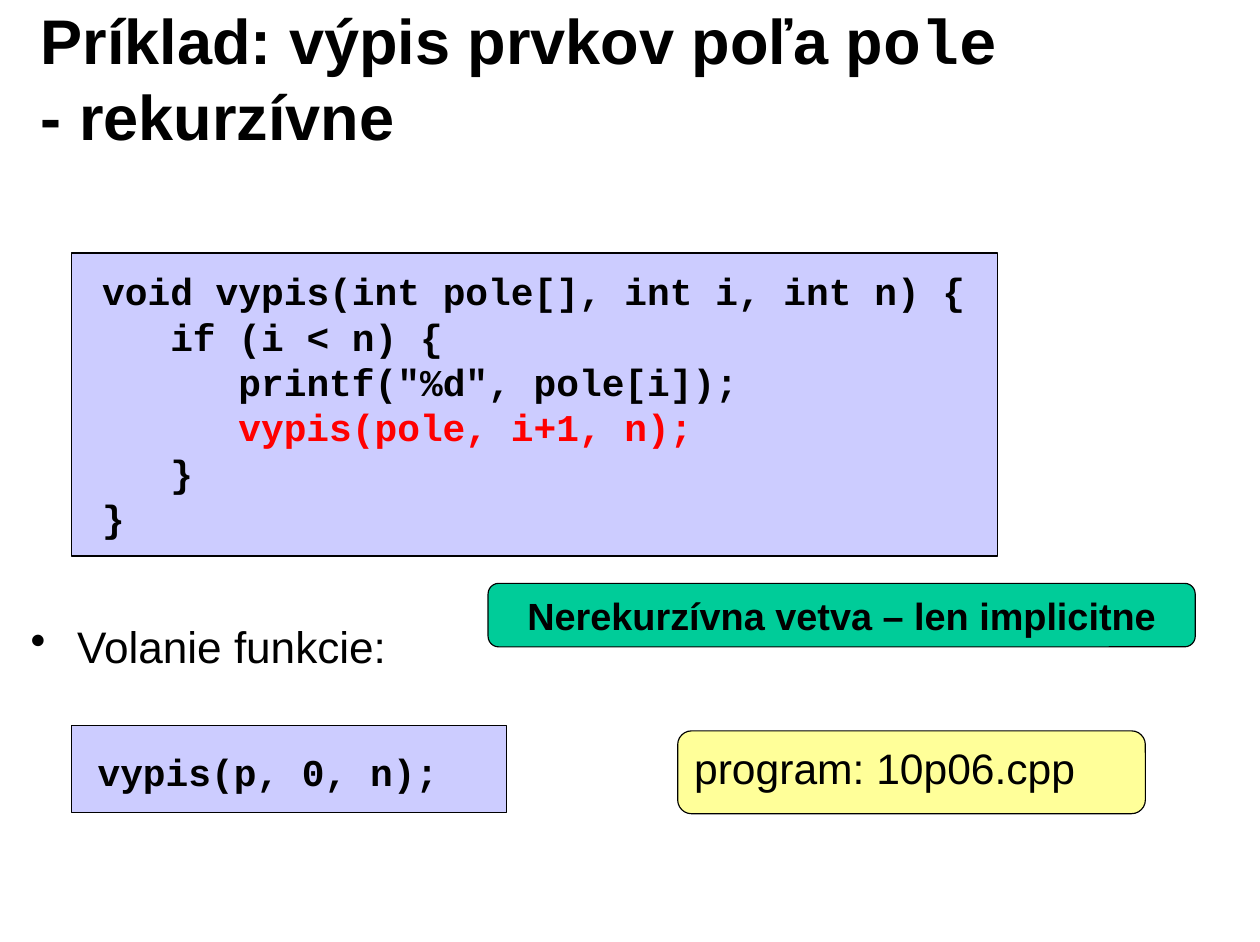
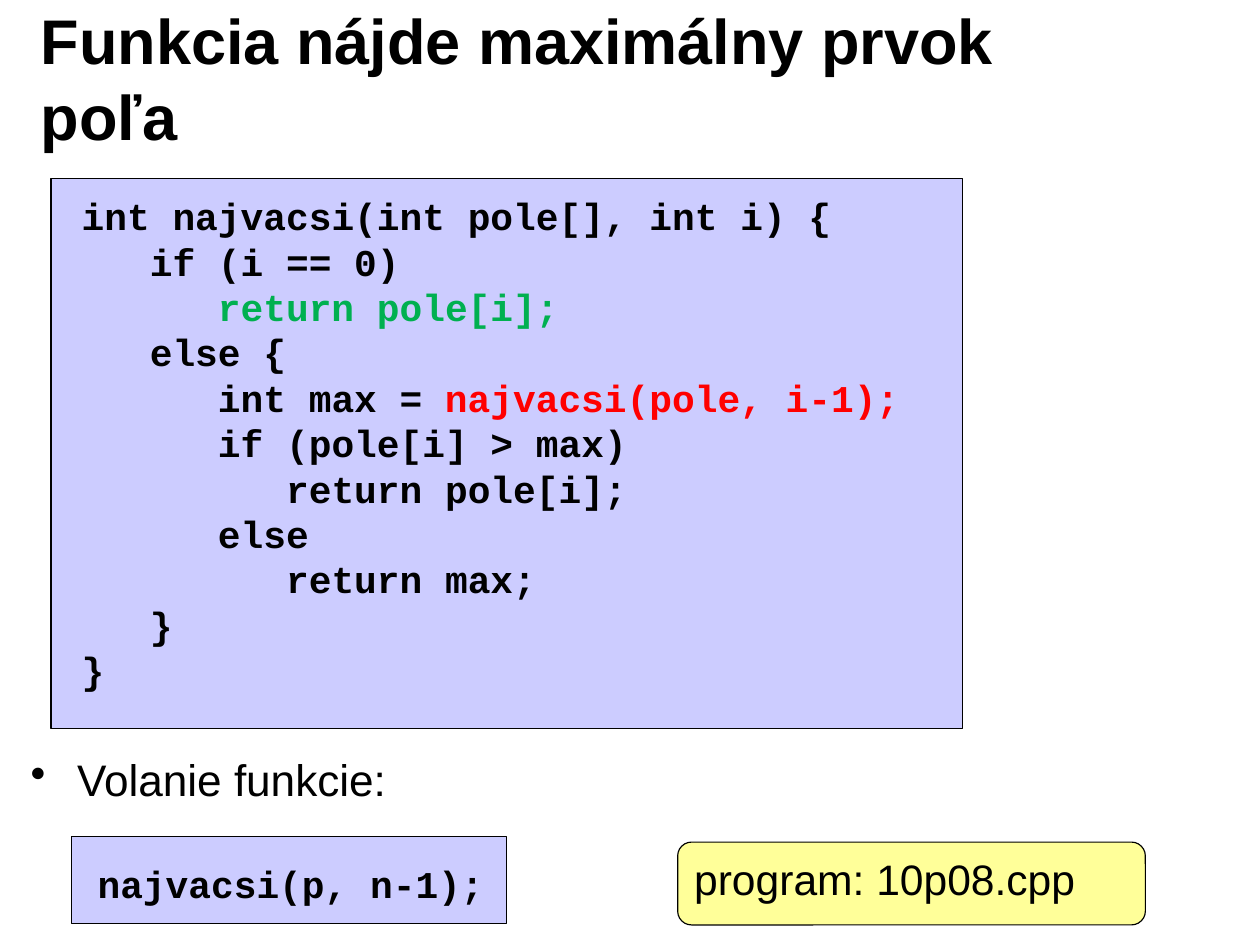
from dataclasses import dataclass

from lxml.etree import SubElement
from pptx import Presentation
from pptx.dml.color import RGBColor
from pptx.enum.shapes import MSO_SHAPE as Shape
from pptx.enum.text import MSO_ANCHOR as Anchor, MSO_AUTO_SIZE as AutoSize, PP_ALIGN as Align
from pptx.oxml.ns import qn
from pptx.util import Inches, Pt

COLUMNS, ROWS = 111, 83
CELL = Inches(0.1)


@dataclass(frozen=True)
class Theme:
    ink: str = "000000"
    code_fill: str = "CCCCFF"
    note_fill: str = "00CC99"
    file_fill: str = "FFFF99"
    recursive: str = "FF0000"
    base_case: str = "00B050"
    sans: str = "Arial"
    mono: str = "Courier New"
    title_size: int = 40
    bullet_size: int = 28
    file_size: int = 27
    code_size: int = 24
    line_width: float = 0.75


@dataclass(frozen=True)
class Box:
    """A rectangle in grid columns and rows."""
    left: float
    top: float
    width: float
    height: float

    def inner(self, left, top, width, height):
        return Box(self.left + left, self.top + top, width, height)

    def lengths(self):
        return [round(n * CELL) for n in (self.left, self.top, self.width, self.height)]


THEME = Theme()
TITLE = Box(2.5, 1.7, 89.2, 10.2)
WIDE_INSETS = (1.1, 0.6, 1.1, 0.6)


def write(frame, paras, size, font=THEME.sans, bold=False, align=Align.LEFT,
          anchor=Anchor.TOP, insets=WIDE_INSETS, bullet=None):
    """Fill a frame; a span is plain text or (text, {"color" or "font": value})."""
    frame.word_wrap = True
    frame.auto_size = AutoSize.NONE
    frame.vertical_anchor = anchor
    frame.margin_left, frame.margin_top, frame.margin_right, frame.margin_bottom = (
        round(n * CELL) for n in insets)
    for index, spans in enumerate(paras):
        para = frame.add_paragraph() if index else frame.paragraphs[0]
        para.alignment = align
        if bullet:
            props = para._p.get_or_add_pPr()
            hang = Inches(0.41)
            props.set("marL", str(hang))
            props.set("indent", str(-hang))
            SubElement(props, qn("a:buChar")).set("char", bullet)
        for item in [spans] if isinstance(spans, str) else spans:
            text, changes = (item, {}) if isinstance(item, str) else item
            span = para.add_run()
            span.text = text
            span.font.name = changes.get("font", font)
            span.font.size = Pt(size)
            span.font.bold = bold
            span.font.color.rgb = RGBColor.from_string(changes.get("color", THEME.ink))


def add_panel(page, box, fill, paras, shape=Shape.RECTANGLE, **text_format):
    panel = page.shapes.add_shape(shape, *box.lengths())
    panel.shadow.inherit = False
    panel.fill.solid()
    panel.fill.fore_color.rgb = RGBColor.from_string(fill)
    panel.line.color.rgb = RGBColor.from_string(THEME.ink)
    panel.line.width = Pt(THEME.line_width)
    write(panel.text_frame, paras, **text_format)


def add_code(page, box, lines, left=2.7, top=1.3):
    add_panel(page, box, THEME.code_fill, lines, size=THEME.code_size,
              font=THEME.mono, bold=True, insets=(left, top, 0, 0))


def add_page(deck, title):
    page = deck.slides.add_slide(deck.slide_layouts[5])
    heading = page.shapes.title
    heading.left, heading.top, heading.width, heading.height = TITLE.lengths()
    write(heading.text_frame, [title], size=THEME.title_size, bold=True, anchor=Anchor.MIDDLE)
    return page


def add_call(page, region, gap, call, file_name):
    """Bullet at the top of the region, with the call and its file below the gap."""
    bullet = page.shapes.add_textbox(*region.inner(0, 0, region.width, 7.5).lengths())
    write(bullet.text_frame, ["Volanie funkcie:"], size=THEME.bullet_size, bullet="•")
    add_code(page, region.inner(4.7, gap, 38.3, 7.7), [call], left=2.3, top=2.1)
    add_panel(page, region.inner(58.1, gap + 0.5, 41.2, 7.3), THEME.file_fill,
              [f"program: {file_name}"], shape=Shape.ROUNDED_RECTANGLE, size=THEME.file_size)


def add_note(page, box, text):
    add_panel(page, box, THEME.note_fill, [text], shape=Shape.ROUNDED_RECTANGLE,
              size=THEME.code_size, bold=True, align=Align.CENTER, anchor=Anchor.MIDDLE)


def build_listing(deck):
    page = add_page(deck, ["Príklad: výpis prvkov poľa ", ("pole ", {"font": THEME.mono}),
                           "- rekurzívne"])
    add_code(page, Box(6.3, 22.3, 81.6, 26.7), [
        "void vypis(int pole[], int i, int n) {",
        "   if (i < n) {",
        '      printf("%d", pole[i]);',
        ["      ", ("vypis(pole, i+1, n);", {"color": THEME.recursive})],
        "   }",
        "}",
    ])
    add_call(page, Box(1.6, 54, 106.6, 18), 9.9, "vypis(p, 0, n);", "10p06.cpp")
    add_note(page, Box(43, 51.4, 62.3, 5.6), "Nerekurzívna vetva – len implicitne")


def build_maximum(deck):
    page = add_page(deck, "Funkcia nájde maximálny prvok poľa")
    add_code(page, Box(4.5, 15.7, 80.3, 48.5), [
        "int najvacsi(int pole[], int i) {",
        "   if (i == 0)",
        ["      ", ("return pole[i];", {"color": THEME.base_case})],
        "   else {",
        ["      int max = ", ("najvacsi(pole, i-1);", {"color": THEME.recursive})],
        "      if (pole[i] > max)",
        "         return pole[i];",
        "      else",
        "         return max;",
        "   }",
        "}",
    ])
    add_call(page, Box(1.6, 65.7, 106.6, 16), 8, "najvacsi(p, n-1);", "10p08.cpp")


def main():
    deck = Presentation()
    deck.slide_width, deck.slide_height = COLUMNS * CELL, ROWS * CELL
    build_listing(deck)
    build_maximum(deck)
    deck.save("out.pptx")


if __name__ == "__main__":
    main()
